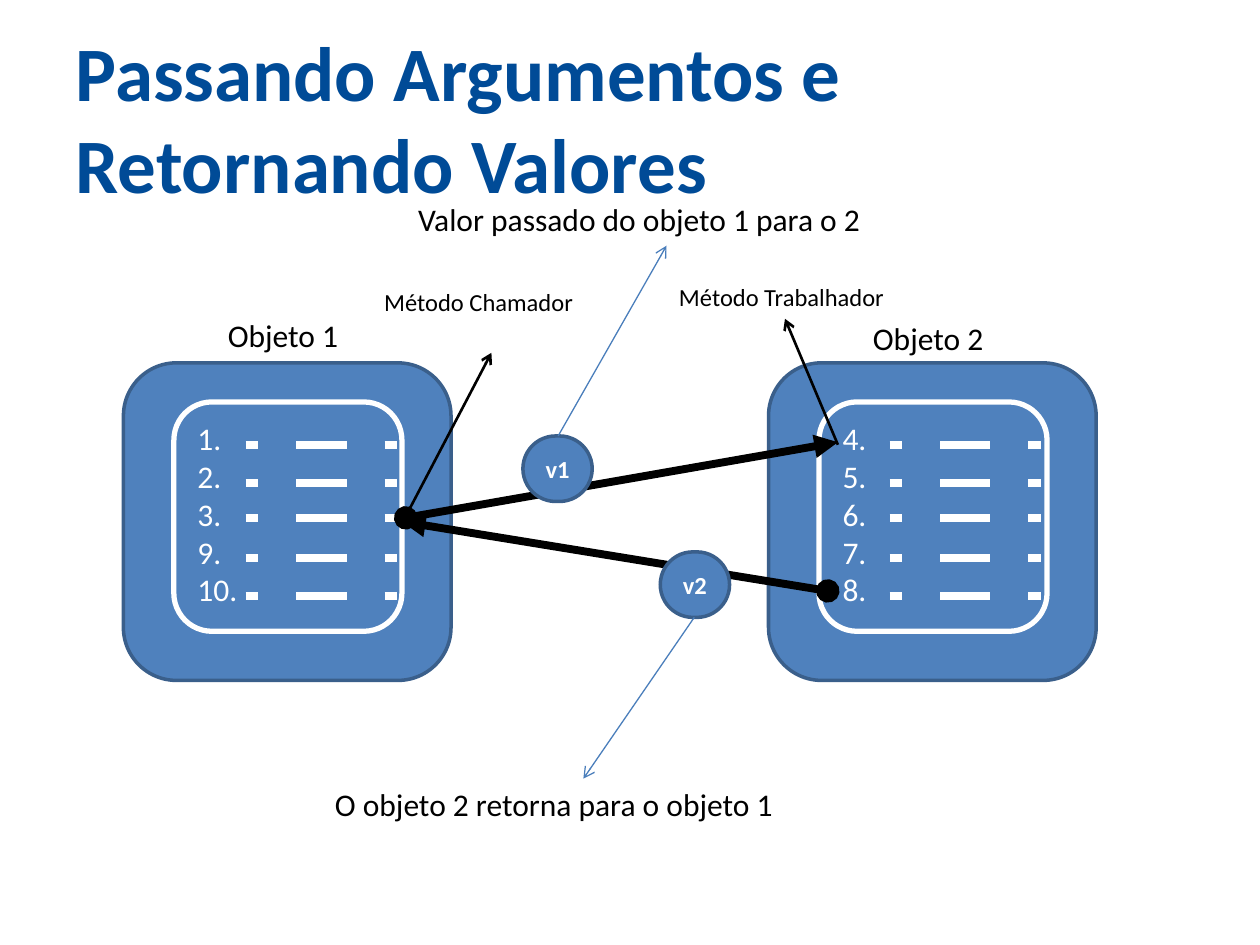
from dataclasses import dataclass

import pptx
import pptx.dml.color
import pptx.enum.shapes
import pptx.enum.text
import pptx.oxml
import pptx.oxml.ns
import pptx.util
from pptx.util import Inches

COLORS = {"title": "004B97", "fill": "4F81BD", "edge": "3A5F8B",
          "thin": "4A7EBB", "white": "FFFFFF", "black": "000000"}
FONT = "Calibri"
ALIGN = pptx.enum.text.PP_ALIGN
ANCHOR = pptx.enum.text.MSO_ANCHOR


@dataclass
class Label:
    text: str
    left: float
    top: float
    width: float
    height: float = 0.4
    size: int = 18
    wrap: bool = True


@dataclass
class Arrow:
    start: tuple[float, float]
    end: tuple[float, float]
    color: str
    width: float
    tail: str
    head: str = "none"


@dataclass
class ObjectBox:
    left: float
    lines: list[str]
    dash_left: float


@dataclass
class Value:
    text: str
    left: float
    top: float


def rgb(name: str):
    return pptx.dml.color.RGBColor.from_string(COLORS[name])


def write(tf, lines: list[str], size: int, color: str, bold=False,
          align=ALIGN.LEFT, anchor=ANCHOR.TOP) -> None:
    tf.vertical_anchor = anchor
    for i, text in enumerate(lines):
        p = tf.paragraphs[0] if i == 0 else tf.add_paragraph()
        p.text = text
        p.alignment = align
        p.font.name, p.font.size, p.font.bold = FONT, pptx.util.Pt(size), bold
        p.font.color.rgb = rgb(color)


def add_round(s, left, top, width, height, edge, line_width, adj=0.167):
    sp = s.shapes.add_shape(pptx.enum.shapes.MSO_SHAPE.ROUNDED_RECTANGLE,
                            Inches(left), Inches(top), Inches(width), Inches(height))
    sp.adjustments[0] = adj
    sp.shadow.inherit = False
    sp.fill.solid()
    sp.fill.fore_color.rgb = rgb("fill")
    sp.line.color.rgb = rgb(edge)
    sp.line.width = pptx.util.Pt(line_width)
    return sp


def add_line(s, start, end, color: str, width: float):
    c = s.shapes.add_connector(pptx.enum.shapes.MSO_CONNECTOR.STRAIGHT,
                               *(Inches(v) for v in (*start, *end)))
    c.line.color.rgb = rgb(color)
    c.line.width = pptx.util.Pt(width)
    pptx.oxml.ns.qn("a:effectLst")
    c._element.spPr.append(pptx.oxml.parse_xml(
        f'<a:effectLst {pptx.oxml.ns.nsdecls("a")}/>'))
    return c


def add_arrow(s, a: Arrow) -> None:
    ln = add_line(s, a.start, a.end, a.color, a.width).line._get_or_add_ln()
    for tag, kind in (("headEnd", a.head), ("tailEnd", a.tail)):
        ln.append(pptx.oxml.parse_xml(
            f'<a:{tag} {pptx.oxml.ns.nsdecls("a")} type="{kind}"/>'))


def add_code_line(s, left: float, y: float) -> None:
    ln = add_line(s, (left, y), (left + 1.3, y), "white", 4.5).line._get_or_add_ln()
    ln.append(pptx.oxml.parse_xml(
        f'<a:custDash {pptx.oxml.ns.nsdecls("a")}>'
        '<a:ds d="160000" sp="480000"/><a:ds d="640000" sp="480000"/></a:custDash>'))


def add_object(s, box: ObjectBox) -> None:
    add_round(s, box.left, 2.88, 2.6, 2.52, "edge", 2)
    inner = add_round(s, box.left + 0.4, 3.19, 1.81, 1.82, "white", 3)
    write(inner.text_frame, box.lines, 18, "white")
    for y in (3.53, 3.83, 4.11, 4.43, 4.73):
        add_code_line(s, box.dash_left, y)


def add_label(s, b: Label) -> None:
    tf = s.shapes.add_textbox(Inches(b.left), Inches(b.top),
                              Inches(b.width), Inches(b.height)).text_frame
    tf.word_wrap = b.wrap
    write(tf, [b.text], b.size, "black")


def add_value(s, v: Value) -> None:
    sp = add_round(s, v.left, v.top, 0.55, 0.52, "edge", 2, adj=0.5)
    write(sp.text_frame, [v.text], 14, "white", True, ALIGN.CENTER, ANCHOR.MIDDLE)


OBJECTS = [ObjectBox(0.98, ["1.", "2.", "3.", "9.", "10."], 1.95),
           ObjectBox(6.1, ["4.", "5.", "6.", "7.", "8."], 7.06)]
CALLS = [Arrow((3.22, 4.11), (6.65, 3.51), "black", 4.5, "triangle", "oval"),
         Arrow((6.57, 4.69), (3.19, 4.14), "black", 4.5, "triangle", "oval")]
VALUES = [Value("v1", 4.15, 3.46), Value("v2", 5.24, 4.38)]
POINTERS = [Arrow((4.43, 3.46), (5.29, 1.95), "thin", 0.75, "arrow"),
            Arrow((5.51, 4.9), (4.63, 6.18), "thin", 0.75, "arrow"),
            Arrow((3.24, 4.06), (3.9, 2.8), "black", 1.5, "arrow"),
            Arrow((6.65, 3.53), (6.23, 2.53), "black", 1.5, "arrow")]
LABELS = [Label("Objeto 1", 1.71, 2.46, 1.14, wrap=False),
          Label("Objeto 2", 6.83, 2.48, 1.14, wrap=False),
          Label("Valor passado do objeto 1 para o 2", 3.22, 1.54, 4.15),
          Label("O objeto 2 retorna para o objeto 1", 2.56, 6.18, 4.15),
          Label("Método Chamador", 2.95, 2.23, 1.89, 0.33, 14),
          Label("Método Trabalhador", 5.29, 2.19, 1.89, 0.56, 14)]


def main() -> None:
    prs = pptx.Presentation()
    prs.slide_width, prs.slide_height = Inches(10), Inches(7.5)
    s = prs.slides.add_slide(prs.slide_layouts[5])

    # Title
    title = s.shapes.title
    title.left, title.top = Inches(0.5), Inches(0.3)
    title.width, title.height = Inches(9), Inches(1.25)
    write(title.text_frame, ["Passando Argumentos e Retornando Valores"], 44,
          "title", True, anchor=ANCHOR.MIDDLE)

    # Objects, then the calls between them with the values they carry
    for box in OBJECTS:
        add_object(s, box)
    for call in CALLS:
        add_arrow(s, call)
    for value in VALUES:
        add_value(s, value)

    # Explanations
    for pointer in POINTERS:
        add_arrow(s, pointer)
    for label in LABELS:
        add_label(s, label)

    prs.save("out.pptx")


if __name__ == "__main__":
    main()
